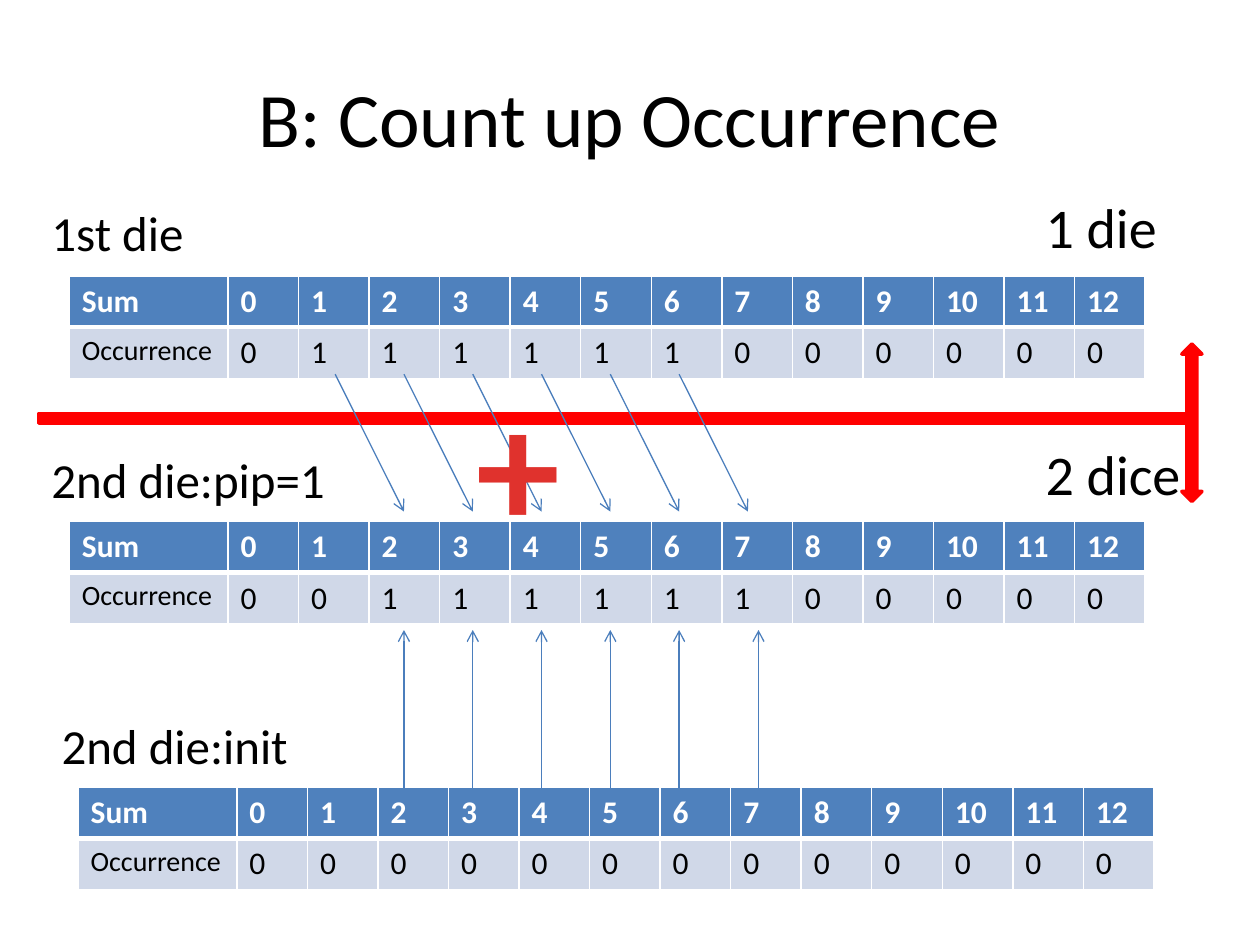
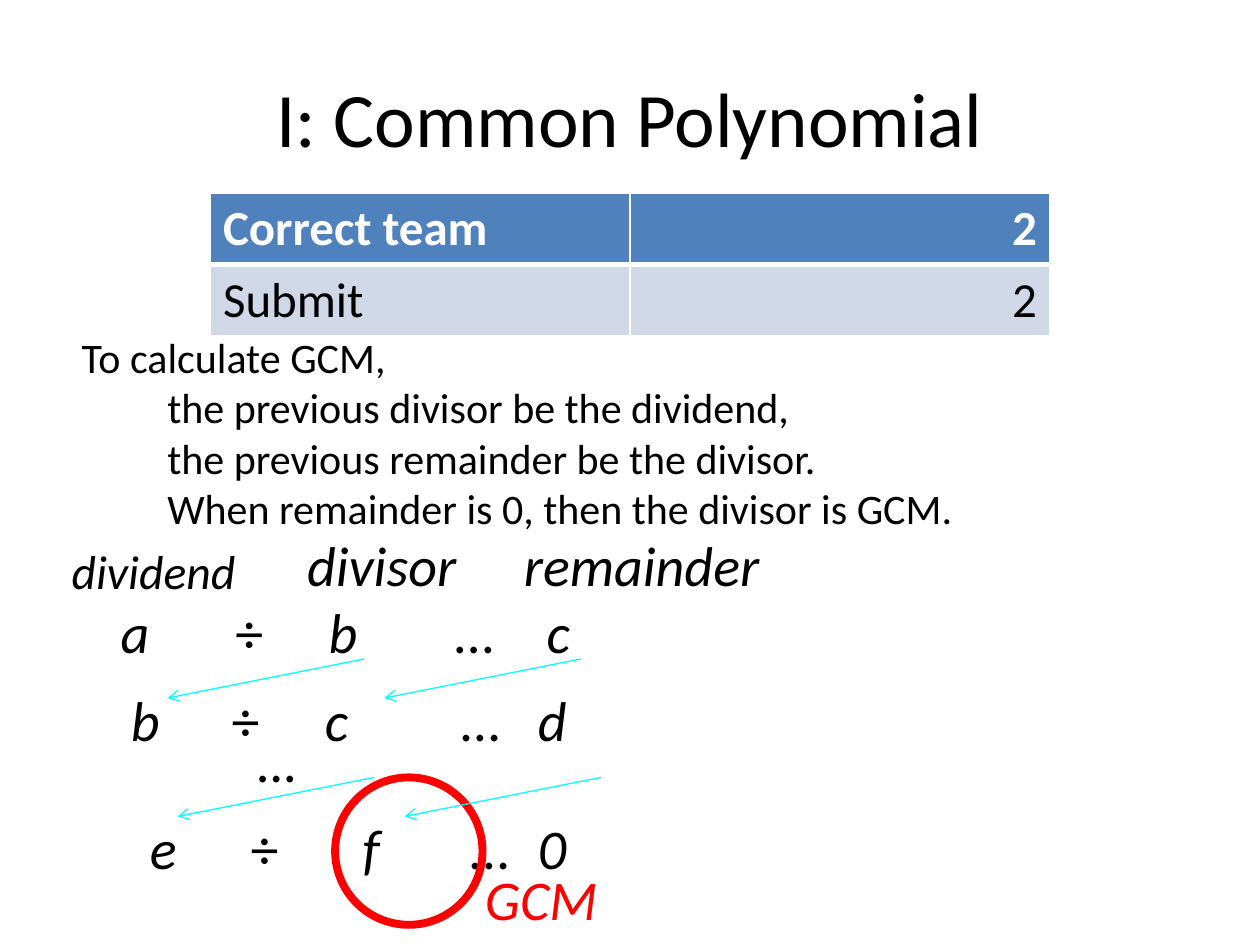
from lxml import etree
from pptx import Presentation
from pptx.dml.color import RGBColor
from pptx.enum.shapes import MSO_CONNECTOR, MSO_SHAPE
from pptx.enum.text import MSO_ANCHOR, PP_ALIGN
from pptx.oxml.ns import qn
from pptx.util import Inches, Pt

STRAIGHT = MSO_CONNECTOR.STRAIGHT
BAR, DOUBLE_ARROW, RING = MSO_SHAPE.RECTANGLE, MSO_SHAPE.UP_DOWN_ARROW, MSO_SHAPE.OVAL
LEFT, CENTER, RIGHT = PP_ALIGN.LEFT, PP_ALIGN.CENTER, PP_ALIGN.RIGHT
TOP, MIDDLE = MSO_ANCHOR.TOP, MSO_ANCHOR.MIDDLE

BLACK = RGBColor(0x00, 0x00, 0x00)
WHITE = RGBColor(0xFF, 0xFF, 0xFF)
RED = RGBColor(0xFF, 0x00, 0x00)
PLUS_RED = RGBColor(0xE0, 0x32, 0x2D)
HEADER_BLUE = RGBColor(0x4F, 0x81, 0xBD)
ROW_BLUE = RGBColor(0xD0, 0xD8, 0xE8)
ARROW_BLUE = RGBColor(0x4B, 0x7E, 0xBC)
CYAN = RGBColor(0x00, 0xFF, 0xFF)

FONT = "Calibri"
COLUMNS, ROWS = 100, 75
SLIDE_WIDTH, SLIDE_HEIGHT = Inches(10), Inches(7.5)

SUM_WIDTHS = [12.6] + [5.6] * 13
ARROW_PITCH = 5.46


def x(columns):
    return round(SLIDE_WIDTH * columns / COLUMNS)


def y(rows):
    return round(SLIDE_HEIGHT * rows / ROWS)


def box(left, top, width, height):
    return x(left), y(top), x(width), y(height)


class Deck:
    def __init__(self):
        self.presentation = Presentation()
        self.presentation.slide_width = SLIDE_WIDTH
        self.presentation.slide_height = SLIDE_HEIGHT
        self.shapes = None

    def new_slide(self, title):
        blank = self.presentation.slide_layouts[6]
        self.shapes = self.presentation.slides.add_slide(blank).shapes
        self.text([title], (5, 3, 90, 12.5), 44, align=CENTER, anchor=MIDDLE)

    def style(self, paragraph, size, color=BLACK, bold=False, italic=False, align=LEFT):
        paragraph.alignment = align
        font = paragraph.font
        font.name, font.size, font.color.rgb = FONT, Pt(size), color
        font.bold, font.italic = bold, italic

    def frame(self, place, anchor=TOP, wrap=True):
        frame = self.shapes.add_textbox(*box(*place)).text_frame
        frame.word_wrap, frame.vertical_anchor = wrap, anchor
        return frame

    def text(self, lines, place, size, anchor=TOP, wrap=True, spacing=None,
             later_indent=0, **style):
        """Write one paragraph per line; lines after the first are indented."""
        frame = self.frame(place, anchor, wrap)
        for number, line in enumerate(lines):
            paragraph = frame.add_paragraph() if number else frame.paragraphs[0]
            paragraph.text = line
            if spacing:
                paragraph.line_spacing = spacing
            if number and later_indent:
                paragraph._p.get_or_add_pPr().set("marL", str(x(later_indent)))
            self.style(paragraph, size, **style)

    def division(self, terms, left, top, stops):
        """Write dividend, sign, divisor, dots and remainder at tab stops."""
        paragraph = self.frame((left, top, 43.8, 7.8)).paragraphs[0]
        tabs = etree.SubElement(paragraph._p.get_or_add_pPr(), qn("a:tabLst"))
        for stop in stops:
            etree.SubElement(tabs, qn("a:tab"), pos=str(x(stop)), algn="l")
        self.style(paragraph, 32, italic=True)
        for number, term in enumerate(terms):
            run = paragraph.add_run()
            run.text = f"\t{term}" if number else term
            if term in "÷…":
                run.font.italic = False

    def table(self, data, left, top, widths, row_height, size, label_size=None,
              value_align=LEFT):
        grid = self.shapes.add_table(
            len(data), len(widths),
            *box(left, top, sum(widths), row_height * len(data))).table
        for column, width in zip(grid.columns, widths):
            column.width = x(width)
        for r, values in enumerate(data):
            grid.rows[r].height = y(row_height)
            header = r == 0
            for c, value in enumerate(values):
                cell = grid.cell(r, c)
                cell.text = str(value)
                cell.fill.solid()
                cell.fill.fore_color.rgb = HEADER_BLUE if header else ROW_BLUE
                is_label = c == 0 and not header
                self.style(cell.text_frame.paragraphs[0],
                           label_size if is_label and label_size else size,
                           WHITE if header else BLACK, bold=header,
                           align=value_align if c else LEFT)
                self.borders(cell, top=1 if header else 3, bottom=3 if header else 1)

    def borders(self, cell, top, bottom):
        properties = cell._tc.get_or_add_tcPr()
        edges = (("L", 1), ("R", 1), ("T", top), ("B", bottom))
        for position, (edge, points) in enumerate(edges):
            line = etree.Element(qn(f"a:ln{edge}"), w=str(Pt(points)))
            fill = etree.SubElement(line, qn("a:solidFill"))
            etree.SubElement(fill, qn("a:srgbClr"), val=str(WHITE))
            properties.insert(position, line)

    def red_shape(self, kind, place, weight, filled=True):
        shape = self.shapes.add_shape(kind, *box(*place))
        shape.shadow.inherit = False
        shape.line.color.rgb, shape.line.width = RED, Pt(weight)
        if filled:
            shape.fill.solid()
            shape.fill.fore_color.rgb = RED
        else:
            shape.fill.background()

    def arrow(self, start, end, color):
        connector = self.shapes.add_connector(
            STRAIGHT, x(start[0]), y(start[1]), x(end[0]), y(end[1]))
        connector.line.color.rgb, connector.line.width = color, Pt(0.75)
        etree.SubElement(connector.line._get_or_add_ln(), qn("a:tailEnd"), type="arrow")
        etree.SubElement(connector._element.spPr, qn("a:effectLst"))


def occurrence_slide(deck):
    deck.new_slide("B: Count up Occurrence")

    def sums(label, label_left, label_top, label_width, left, top, first_one=None):
        """Draw a labelled table with six ones starting at the sum first_one."""
        ones = range(first_one, first_one + 6) if first_one else ()
        counts = [int(total in ones) for total in range(13)]
        deck.table([["Sum", *range(13)], ["Occurrence", *counts]],
                   left, top, SUM_WIDTHS, 4.06, 18, label_size=16)
        deck.text([label], (label_left, label_top, label_width, 5.7), 28)

    sums("1st die", 3.1, 15.6, 16.4, 5.5, 21.9, first_one=1)
    sums("2nd die:init", 3.9, 56.3, 25, 6.2, 62.5)
    deck.red_shape(BAR, (3.1, 32.8, 91.4, 0.8), 2)
    deck.text(["1 die"], (82, 14.8, 11.7, 6.4), 32)
    deck.text(["2 dice"], (82, 34.4, 14.1, 6.4), 32)
    deck.red_shape(DOUBLE_ARROW, (93.8, 27.3, 1.6, 12.5), 2)
    sums("2nd die:pip=1", 3.1, 35.2, 24.2, 5.5, 41.4, first_one=2)

    for pip in range(6):
        source = 26.6 + ARROW_PITCH * pip
        target = source + ARROW_PITCH
        deck.arrow((source, 29.7), (target, 40.6), ARROW_BLUE)
        initial = target if pip < 5 else 60.2
        deck.arrow((initial, 62.5), (initial, 50), ARROW_BLUE)
    deck.text(["+"], (36.7, 28.1, 8.8, 17.2), 96, wrap=False,
              color=PLUS_RED, bold=True, align=CENTER)


def polynomial_slide(deck):
    deck.new_slide("I: Common Polynomial")
    deck.table([["Correct team", 2], ["Submit", 2]],
               16.7, 15.3, [33.3, 33.3], 5.67, 28, value_align=RIGHT)

    deck.division("a÷b…c", 8.6, 46.9, (9.1, 16.5, 26.5, 33.8))
    deck.division("b÷c…d", 9.4, 53.9, (8.0, 15.4, 26.2, 32.3))
    deck.division("e÷f…0", 10.9, 64.1, (8.0, 16.9, 25.4, 30.8))

    deck.red_shape(RING, (26.6, 61.7, 11.7, 11.7), 4.5, filled=False)
    for word, left, top, width, size, color in (
            ("dividend", 4.7, 43, 15.6, 27.2, BLACK),
            ("divisor", 23.4, 42.2, 15.6, 32, BLACK),
            ("remainder", 40.6, 42.2, 22.7, 32, BLACK),
            ("GCM", 37.5, 68.7, 41.4, 32, RED),
            ("…", 19.5, 57.8, 15.6, 32, BLACK)):
        deck.text([word], (left, top, width, 6.3), size, spacing=0.9,
                  color=color, italic=True)

    for left, top in ((28.9, 52.3), (46.1, 52.3), (47.7, 61.7), (29.7, 61.7)):
        deck.arrow((left, top), (left - 15.6, top + 3.1), CYAN)

    deck.text(["To calculate GCM,",
               "the previous divisor be the dividend,",
               "the previous remainder be the divisor.",
               "When remainder is 0, then the divisor is GCM."],
              (5.5, 25.8, 82, 17.2), 24, later_indent=6.8)


def main():
    deck = Deck()
    occurrence_slide(deck)
    polynomial_slide(deck)
    deck.presentation.save("out.pptx")


if __name__ == "__main__":
    main()
